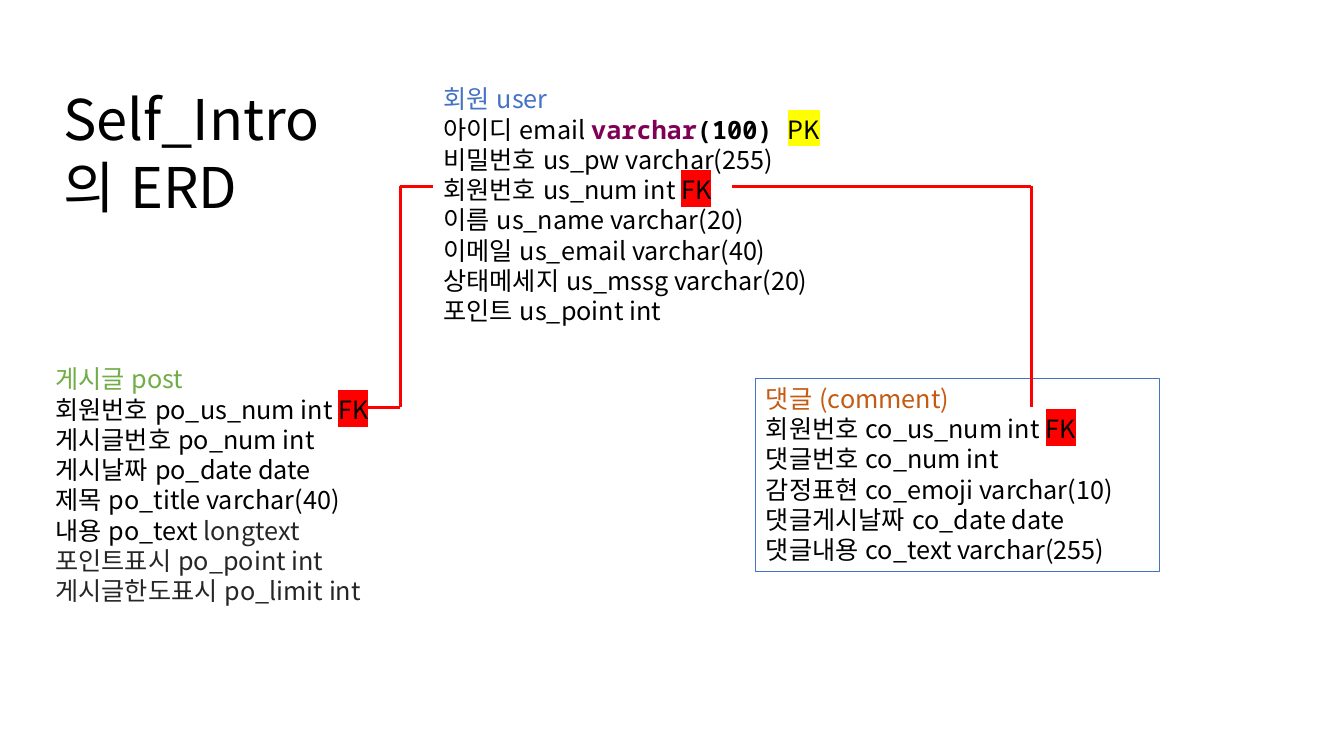
from dataclasses import dataclass

from lxml import etree
from pptx import Presentation
from pptx.dml.color import RGBColor
from pptx.enum.lang import MSO_LANGUAGE_ID
from pptx.enum.shapes import MSO_CONNECTOR, MSO_SHAPE
from pptx.enum.text import MSO_ANCHOR, PP_ALIGN
from pptx.oxml.ns import qn
from pptx.util import Pt


@dataclass(frozen=True)
class Theme:
    font: str = "Noto Sans CJK KR"
    mono: str = "Noto Sans Mono"
    title_size: float = 40
    body_size: float = 18
    spacing: float = 1.0
    black: str = "000000"
    grey: str = "262626"
    blue: str = "4472C4"
    green: str = "70AD47"
    orange: str = "C55A11"
    purple: str = "7F0055"
    red: str = "FF0000"
    yellow: str = "FFFF00"


T = Theme()


@dataclass(frozen=True)
class Span:
    text: str
    color: str = T.black
    font: str = T.font
    bold: bool = False
    highlight: str = ""


FK = Span("FK", highlight=T.red)


class Diagram:
    def __init__(self, slide, theme):
        self.s, self.t = slide, theme

    def add_run(self, p, span, size):
        r = p.add_run()
        r.text = span.text
        r.font.size, r.font.bold = Pt(size), span.bold
        r.font.language_id = MSO_LANGUAGE_ID.KOREAN
        r.font.color.rgb = RGBColor.from_string(span.color)
        r.font.name = span.font
        latin = r.font._element.find(qn("a:latin"))
        if span.highlight:
            mark = etree.Element(qn("a:highlight"))
            etree.SubElement(mark, qn("a:srgbClr")).set("val", span.highlight)
            latin.addprevious(mark)
        east_asian = etree.Element(qn("a:ea"))
        east_asian.set("typeface", span.font)
        latin.addnext(east_asian)

    def fill_text(self, sp, lines, size, anchor=MSO_ANCHOR.TOP):
        tf = sp.text_frame
        tf.word_wrap, tf.vertical_anchor = True, anchor
        for i, line in enumerate(lines):
            p = tf.paragraphs[0] if i == 0 else tf.add_paragraph()
            p.alignment, p.line_spacing = PP_ALIGN.LEFT, self.t.spacing
            p.space_before = Pt(0)
            for span in line:
                self.add_run(p, span, size)

    def title(self, text, left, top, width, height):
        sp = self.s.shapes.title
        sp.left, sp.top, sp.width, sp.height = map(Pt, (left, top, width, height))
        self.fill_text(sp, [[Span(text)]], self.t.title_size)

    def entity(self, lines, left, top, width, height):
        sp = self.s.shapes.add_textbox(*map(Pt, (left, top, width, height)))
        self.fill_text(sp, lines, self.t.body_size)

    def framed_entity(self, lines, left, top, width, height):
        sp = self.s.shapes.add_shape(MSO_SHAPE.RECTANGLE, *map(Pt, (left, top, width, height)))
        sp.shadow.inherit = False
        sp.fill.background()
        sp.line.color.rgb = RGBColor.from_string(self.t.blue)
        sp.line.width = Pt(0.75)
        self.fill_text(sp, lines, self.t.body_size)

    def relation(self, *points):
        for start, end in zip(points, points[1:]):
            line = self.s.shapes.add_connector(MSO_CONNECTOR.STRAIGHT, *map(Pt, start + end))
            line.line.color.rgb = RGBColor.from_string(self.t.red)
            line.line.width = Pt(2.25)
            etree.SubElement(line._element.spPr, qn("a:effectLst"))


def columns(*names, color=T.black):
    return [[Span(name, color)] for name in names]


prs = Presentation()
prs.slide_width, prs.slide_height = Pt(960), Pt(540)
erd = Diagram(prs.slides.add_slide(prs.slide_layouts[5]), T)

erd.title("Self_Intro의 ERD", 38, 57, 228, 104.4)

# Entities
user = [
    *columns("회원 user", color=T.blue),
    [Span("아이디 email "), Span("varchar", T.purple, T.mono, True),
     Span("(100) ", font=T.mono, bold=True), Span("PK", highlight=T.yellow)],
    *columns("비밀번호 us_pw varchar(255)"),
    [Span("회원번호 us_num int "), FK],
    *columns("이름 us_name varchar(20)", "이메일 us_email varchar(40)",
             "상태메세지 us_mssg varchar(20)", "포인트 us_point int "),
]
post = [
    *columns("게시글 post", color=T.green),
    [Span("회원번호 po_us_num int "), FK],
    *columns("게시글번호 po_num int", "게시날짜 po_date date", "제목 po_title varchar(40)"),
    [Span("내용 po_text "), Span("longtext", T.grey)],
    *columns("포인트표시 po_point int", "게시글한도표시 po_limit int", color=T.grey),
]
comment = [
    *columns("댓글 (comment)", color=T.orange),
    [Span("회원번호 co_us_num int "), FK],
    *columns("댓글번호 co_num int", "감정표현 co_emoji varchar(10) ",
             "댓글게시날짜 co_date date", "댓글내용 co_text varchar(255)"),
]
erd.entity(user, 309.6, 56.2, 340, 181.4)
erd.entity(post, 32.4, 256.3, 300, 181.4)
erd.framed_entity(comment, 540, 270.2, 288, 138.2)

# Foreign key relations from user to post and comment
user_y, key_y = 133.2, 290.9
post_x, comment_x = 285.8, 736.6
erd.relation((309.6, user_y), (post_x, user_y), (post_x, key_y), (262, key_y))
erd.relation((522.7, user_y), (comment_x, user_y), (comment_x, key_y))

prs.save("out.pptx")
